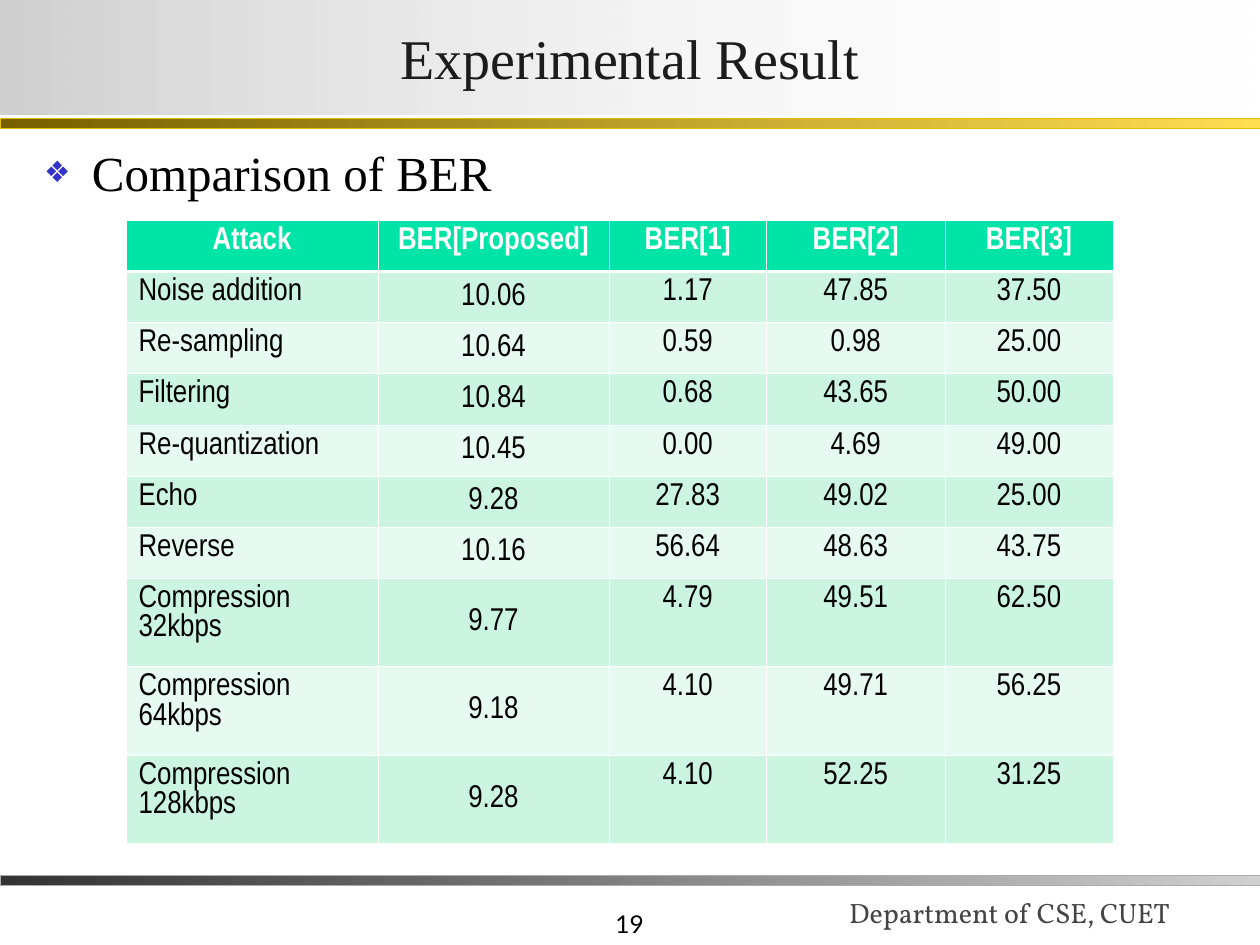
"""Build the slide that compares bit error rates under attack."""
from dataclasses import dataclass
from typing import NamedTuple

from lxml import etree
from pptx import Presentation, util as u
from pptx.dml.color import RGBColor
from pptx.enum import shapes, text
from pptx.oxml.ns import qn

UNIT = u.Inches(10) / 120


class Area(NamedTuple):
    """A rectangle on the grid of 120 columns by 90 rows."""
    column: float
    row: float
    columns: float
    rows: float


class Style(NamedTuple):
    """The look of a span of text."""
    font: str
    size: float
    color: str
    bold: bool = False


@dataclass(frozen=True)
class Theme:
    """Colours and type styles of the slide."""
    title: Style = Style("Times New Roman", 32, "1C1C1C")
    bullet: Style = Style("Times New Roman", 28, "000000")
    number: Style = Style("Lato", 14, "000000")
    footer: Style = Style("Vollkorn", 16, "444444")
    header: Style = Style("Arial Narrow", 18, "FFFFFF", True)
    cell: Style = Style("Arial Narrow", 18, "000000")
    marker: str = "3333CC"
    title_fade: tuple[str, str] = ("D0D0D0", "FFFFFF")
    header_fill: str = "00E4A8"
    bands: tuple[str, str] = ("CBF5E1", "E7FAF1")
    border: str = "FFFFFF"
    thin: float = 0.45
    thick: float = 1.47


@dataclass(frozen=True)
class Bar:
    """A horizontal gradient bar with a fine outline."""
    area: Area
    start: str
    end: str
    outline: str


@dataclass(frozen=True)
class Note:
    """A line of text at the foot of the slide."""
    area: Area
    words: str
    style: Style
    align: text.PP_ALIGN


THEME = Theme()
BARS = (
    Bar(Area(0, 83.4, 120, 0.96), "333333", "D0D0D0", "ABABAB"),
    Bar(Area(0, 11.28, 120, 0.96), "766000", "FFDE53", "E8BC00"),
)
NOTES = (
    Note(Area(37.5, 84, 25, 6), "19", THEME.number, text.PP_ALIGN.RIGHT),
    Note(Area(79.7, 81.6, 41.3, 7.5), "Department of CSE, CUET", THEME.footer, text.PP_ALIGN.LEFT),
)
TITLE_AREA = Area(0, 0, 120, 10.92)
BODY_AREA = Area(3, 12.96, 113.4, 71.76)
TABLE_ORIGIN = (12, 21)
COLUMN_WIDTHS = (24, 22, 15, 17, 16)
ROW_HEIGHTS = (4.87,) * 7 + (8.43,) * 3
RESULTS = (
    ("Attack", "BER[Proposed]", "BER[1]", "BER[2]", "BER[3]"),
    ("Noise addition", "10.06", "1.17", "47.85", "37.50"),
    ("Re-sampling", "10.64", "0.59", "0.98", "25.00"),
    ("Filtering", "10.84", "0.68", "43.65", "50.00"),
    ("Re-quantization", "10.45", "0.00", "4.69", "49.00"),
    ("Echo", "9.28", "27.83", "49.02", "25.00"),
    ("Reverse", "10.16", "56.64", "48.63", "43.75"),
    ("Compression 32kbps", "9.77", "4.79", "49.51", "62.50"),
    ("Compression 64kbps", "9.18", "4.10", "49.71", "56.25"),
    ("Compression 128kbps", "9.28", "4.10", "52.25", "31.25"),
)


def grid(steps: float) -> u.Emu:
    """Turn grid steps into a length."""
    return u.Emu(round(steps * UNIT))


def place(box, area: Area) -> None:
    """Move a shape onto its area."""
    box.left, box.top, box.width, box.height = map(grid, area)


def write(para, words: str, style: Style, align=text.PP_ALIGN.LEFT) -> None:
    """Add one styled span to a paragraph."""
    para.alignment = align
    span = para.add_run()
    span.text = words
    span.font.name, span.font.size = style.font, u.Pt(style.size)
    span.font.bold = style.bold
    span.font.color.rgb = RGBColor.from_string(style.color)


def fade(box, start: str, end: str) -> None:
    """Fill a shape with a gradient from left to right."""
    box.fill.gradient()
    box.fill.gradient_angle = 0
    for stop, color, position in zip(box.fill.gradient_stops, (start, end), (0, 1)):
        stop.color.rgb = RGBColor.from_string(color)
        stop.position = position


def draw_bar(page, bar: Bar) -> None:
    """Draw a gradient bar."""
    box = page.shapes.add_shape(shapes.MSO_SHAPE.RECTANGLE, *map(grid, bar.area))
    box.shadow.inherit = False
    fade(box, bar.start, bar.end)
    box.line.color.rgb = RGBColor.from_string(bar.outline)
    box.line.width = u.Pt(0.25)


def draw_note(page, note: Note) -> None:
    """Draw a line of footer text."""
    frame = page.shapes.add_textbox(*map(grid, note.area)).text_frame
    frame.word_wrap = True
    frame.vertical_anchor = text.MSO_ANCHOR.BOTTOM
    write(frame.paragraphs[0], note.words, note.style, note.align)


def fill_title(box, words: str) -> None:
    """Format the title over a gradient that fades out."""
    place(box, TITLE_AREA)
    fade(box, *THEME.title_fade)
    last_color = list(box.element.iter(qn("a:srgbClr")))[-1]
    etree.SubElement(last_color, qn("a:alpha"), val="0")
    frame = box.text_frame
    frame.auto_size = text.MSO_AUTO_SIZE.NONE
    frame.vertical_anchor = text.MSO_ANCHOR.MIDDLE
    frame.margin_left = frame.margin_right = u.Inches(0.02)
    frame.margin_top = frame.margin_bottom = u.Inches(0.01)
    write(frame.paragraphs[0], words, THEME.title, text.PP_ALIGN.CENTER)


def fill_body(box, words: str) -> None:
    """Format the bulleted line."""
    place(box, BODY_AREA)
    box.text_frame.auto_size = text.MSO_AUTO_SIZE.NONE
    para = box.text_frame.paragraphs[0]
    write(para, words, THEME.bullet)
    para.space_before = u.Pt(7)
    props = para._p.get_or_add_pPr()
    indent = u.Inches(0.38)
    props.set("marL", str(indent))
    props.set("indent", str(-indent))
    color = etree.SubElement(props, qn("a:buClr"))
    etree.SubElement(color, qn("a:srgbClr"), val=THEME.marker)
    etree.SubElement(props, qn("a:buSzPct"), val="60000")
    etree.SubElement(props, qn("a:buChar"), char="❖")


def draw_borders(cell, top: float, bottom: float) -> None:
    """Rule the four sides of a cell."""
    props = cell._tc.get_or_add_tcPr()
    sides = {"lnL": THEME.thin, "lnR": THEME.thin, "lnT": top, "lnB": bottom}
    for side, width in sides.items():
        line = etree.SubElement(props, qn(f"a:{side}"), w=str(u.Pt(width)))
        paint = etree.SubElement(line, qn("a:solidFill"))
        etree.SubElement(paint, qn("a:srgbClr"), val=THEME.border)


def draw_cell(cell, row: int, column: int, words: str) -> None:
    """Format one table cell by its place in the table."""
    header, label = row == 0, column == 0
    draw_borders(cell, THEME.thick if row == 1 else THEME.thin,
                 THEME.thick if header else THEME.thin)
    cell.fill.solid()
    color = THEME.header_fill if header else THEME.bands[(row - 1) % 2]
    cell.fill.fore_color.rgb = RGBColor.from_string(color)
    cell.margin_left = cell.margin_right = u.Inches(0.1 if header or label else 0.08)
    cell.margin_top = cell.margin_bottom = u.Inches(0.05)
    middle = column == 1 and not header
    cell.vertical_anchor = text.MSO_ANCHOR.MIDDLE if middle else text.MSO_ANCHOR.TOP
    align = text.PP_ALIGN.LEFT if label and not header else text.PP_ALIGN.CENTER
    write(cell.text_frame.paragraphs[0], words, THEME.header if header else THEME.cell, align)


def draw_table(page) -> None:
    """Draw the table of results."""
    area = Area(*TABLE_ORIGIN, sum(COLUMN_WIDTHS), sum(ROW_HEIGHTS))
    table = page.shapes.add_table(len(ROW_HEIGHTS), len(COLUMN_WIDTHS), *map(grid, area)).table
    table.horz_banding = False
    for column, width in zip(table.columns, COLUMN_WIDTHS):
        column.width = grid(width)
    for row, (height, values) in enumerate(zip(ROW_HEIGHTS, RESULTS)):
        table.rows[row].height = grid(height)
        for column, words in enumerate(values):
            draw_cell(table.cell(row, column), row, column, words)


def main() -> None:
    """Build and save the deck."""
    deck = Presentation()
    deck.slide_width, deck.slide_height = grid(120), grid(90)
    page = deck.slides.add_slide(deck.slide_layouts[1])
    fill_title(page.shapes.title, "Experimental Result")
    fill_body(page.placeholders[1], "Comparison of BER")
    for note in NOTES:
        draw_note(page, note)
    for bar in BARS:
        draw_bar(page, bar)
    draw_table(page)
    deck.save("out.pptx")


if __name__ == "__main__":
    main()
